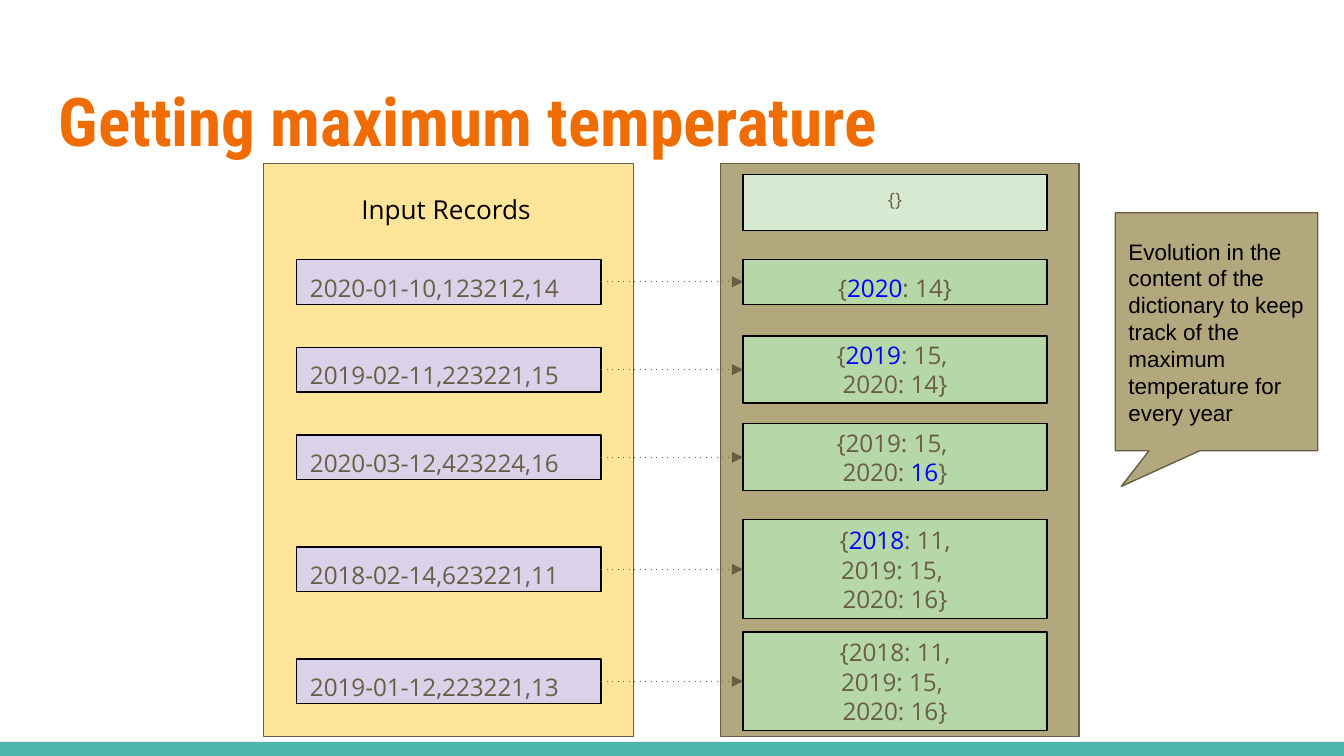
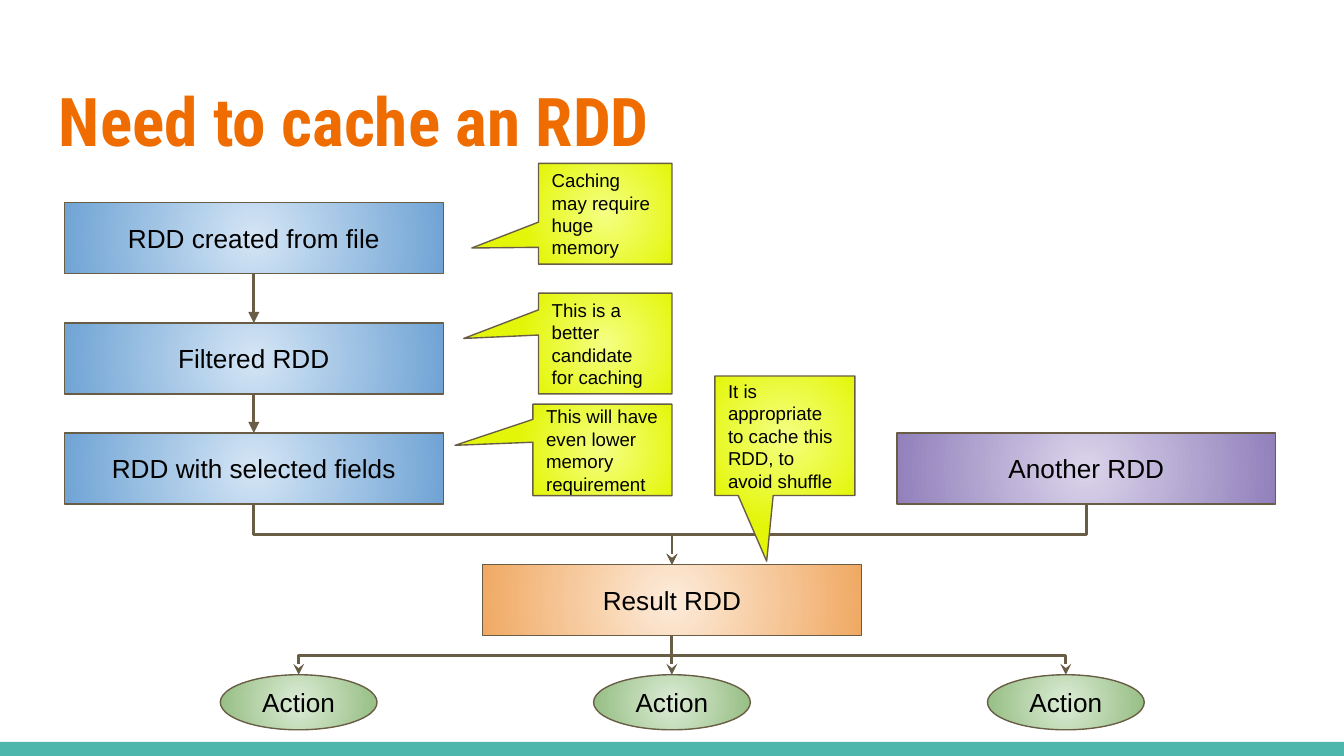
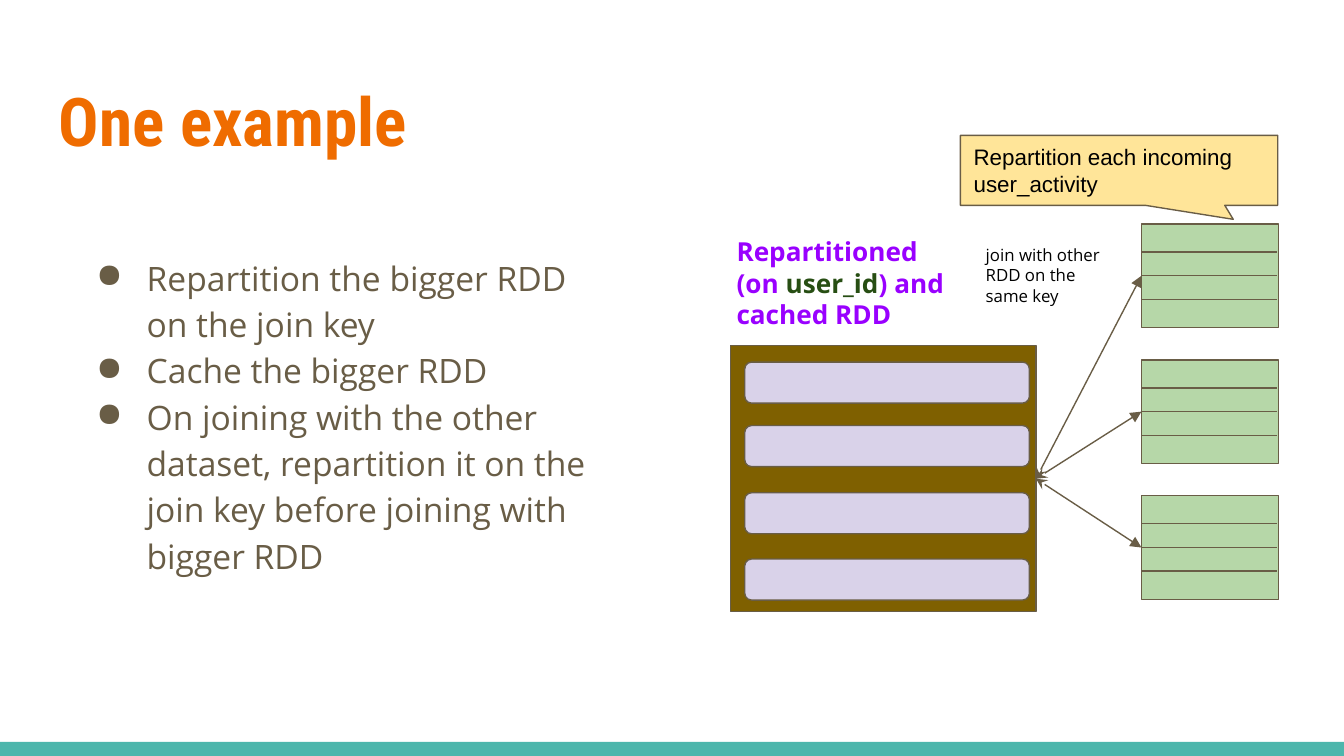
from lxml.etree import SubElement
from pptx import Presentation
from pptx.dml.color import RGBColor
from pptx.enum.shapes import MSO_CONNECTOR as Link, MSO_SHAPE as Preset
from pptx.enum.text import MSO_ANCHOR as Anchor, PP_ALIGN as Align
from pptx.oxml.ns import qn
from pptx.util import Pt

ORANGE, TEAL, BROWN, BLACK = "EF6C00", "4DB6AC", "695D46", "000000"
KHAKI, SAND, LILAC, GREEN, MINT = "B3A77D", "FFE599", "D9D2E9", "B6D7A8", "D9EAD3"
BLUE, VIOLET, FOREST, OLIVE = "0000FF", "9900FF", "274E13", "7F6000"
# Radial gradients: centre colour, edge colour
SKY, PEACH, PLUM = ("D4E5F5", "70A4D5"), ("FDECDB", "F0A963"), ("DBD4EB", "9180BB")
LEAF, LEMON = ("DCECD5", "93BC81"), ("F5FF83", "E3F609")
SANS, BODY, HEADING = "Arial", "Open Sans", "Roboto Condensed"


def rgb(color):
    return RGBColor.from_string(color)


class Deck:
    def __init__(self):
        self.prs = Presentation()
        self.prs.slide_width, self.prs.slide_height = Pt(720), Pt(405)
        self.shapes = None

    def new_slide(self, title):
        self.shapes = self.prs.slides.add_slide(self.prs.slide_layouts[6]).shapes
        self.box((0, 397.5, 720, 7.5), TEAL, line=None)
        self.text((24.5, 35.5, 671, 55), [[title]], 36, HEADING, ORANGE, bold=True)

    def box(self, area, fill, preset=Preset.RECTANGLE, line=BROWN):
        """Draw a preset shape; a pair of colours as fill makes a radial gradient."""
        shape = self.shapes.add_shape(preset, *map(Pt, area))
        shape.shadow.inherit = False
        if isinstance(fill, tuple):
            self.radial(shape, fill)
        else:
            shape.fill.solid()
            shape.fill.fore_color.rgb = rgb(fill)
        if line:
            shape.line.color.rgb = rgb(line)
            shape.line.width = Pt(0.75)
        else:
            shape.line.fill.background()
        return shape

    def radial(self, shape, colors):
        shape.fill.gradient()
        for stop, color in zip(shape.fill.gradient_stops, colors):
            stop.color.rgb = rgb(color)
        gradient = shape._element.spPr.find(qn("a:gradFill"))
        gradient.remove(gradient.find(qn("a:lin")))
        circle = SubElement(gradient, qn("a:path"), path="circle")
        SubElement(circle, qn("a:fillToRect"), {side: "50000" for side in "ltrb"})

    def text(self, area, paragraphs, *style, **options):
        self.put_text(self.shapes.add_textbox(*map(Pt, area)), paragraphs, *style, **options)

    def put_text(self, shape, paragraphs, size, font=SANS, color=BLACK, bold=False,
                 align=Align.LEFT, anchor=Anchor.TOP, bullet=None):
        """Fill a shape with paragraphs, each a list of runs: text or (text, colour)."""
        frame = shape.text_frame
        frame.word_wrap = True
        frame.vertical_anchor = anchor
        frame.margin_left = frame.margin_right = Pt(7.2)
        frame.margin_top = frame.margin_bottom = Pt(7.2)
        for i, runs in enumerate(paragraphs):
            paragraph = frame.add_paragraph() if i else frame.paragraphs[0]
            paragraph.alignment = align
            if bullet:
                self.bullet(paragraph, bullet, color)
            for part in runs:
                words, run_color = part if isinstance(part, tuple) else (part, color)
                run = paragraph.add_run()
                run.text = words
                run.font.size, run.font.name, run.font.bold = Pt(size), font, bold
                run.font.color.rgb = rgb(run_color)

    def bullet(self, paragraph, mark, color):
        paragraph.line_spacing = 1.15
        props = paragraph._p.get_or_add_pPr()
        props.set("marL", str(Pt(36)))
        props.set("indent", str(-Pt(27)))
        SubElement(SubElement(props, qn("a:buClr")), qn("a:srgbClr"), val=color)
        SubElement(props, qn("a:buChar"), char=mark)

    def label(self, area, words, fill, preset=Preset.RECTANGLE):
        self.put_text(self.box(area, fill, preset), [[words]], 14,
                      align=Align.CENTER, anchor=Anchor.MIDDLE)

    def callout(self, area, words, fill, tip, size):
        shape = self.box(area, fill, Preset.RECTANGULAR_CALLOUT)
        shape.adjustments[0], shape.adjustments[1] = tip
        self.put_text(shape, [[words]], size, anchor=Anchor.MIDDLE)

    def line(self, start, end, width=0.75, dash=None, head=None, tail=None, kind=Link.STRAIGHT):
        link = self.shapes.add_connector(kind, *map(Pt, (*start, *end)))
        link.line.color.rgb = rgb(BROWN)
        link.line.width = Pt(width)
        stroke = link.line._get_or_add_ln()
        for tag, attribute, value in (("a:prstDash", "val", dash), ("a:headEnd", "type", head),
                                      ("a:tailEnd", "type", tail)):
            if value:
                SubElement(stroke, qn(tag), {attribute: value})
        SubElement(link._element.spPr, qn("a:effectLst"))
        return link

    def elbow(self, start, end):
        """Draw a down-across-down arrow: a sideways elbow turned a quarter."""
        (x1, y1), (x2, y2) = start, end
        mid_x, mid_y = (x1 + x2) / 2, (y1 + y2) / 2
        half_drop, half_run = (y2 - y1) / 2, abs(x2 - x1) / 2
        leftward = x2 < x1
        side = -half_drop if leftward else half_drop
        link = self.line((mid_x + side, mid_y - half_run), (mid_x - side, mid_y + half_run),
                         1.5, tail="stealth", kind=Link.ELBOW)
        degrees = 90 if leftward else 270
        link._element.spPr.find(qn("a:xfrm")).set("rot", str(degrees * 60000))


def temperature_slide(deck):
    deck.new_slide("Getting maximum temperature")
    deck.box((386, 87.5, 192, 307), KHAKI)
    deck.box((141, 87.5, 198.5, 307), SAND)
    deck.text((157.5, 96.5, 163, 24), [["Input Records"]], 14, BODY, align=Align.CENTER)
    record_x, state_x, width = 159, 398, 163
    empty = deck.box((state_x, 93.5, width, 30), MINT, line=BLACK)
    deck.put_text(empty, [["{}"]], 10, BODY, BROWN, align=Align.CENTER)

    steps = [
        (151, "2020-01-10,123212,14", [["{", ("2020", BLUE), ": 14}"]]),
        (198, "2019-02-11,223221,15", [["{", ("2019", BLUE), ": 15, "], ["2020: 14}"]]),
        (245, "2020-03-12,423224,16", [["{2019: 15, "], ["2020: ", ("16", BLUE), "}"]]),
        (305, "2018-02-14,623221,11",
         [["{", ("2018", BLUE), ": 11,"], ["2019: 15, "], ["2020: 16}"]]),
        (365, "2019-01-12,223221,13", [["{2018: 11,"], ["2019: 15, "], ["2020: 16}"]]),
    ]
    state_heights = {1: 24, 2: 36, 3: 53}
    for middle, record, state in steps:
        record_box = deck.box((record_x, middle - 12, width, 24), LILAC, line=BLACK)
        deck.put_text(record_box, [[record]], 13, BODY, BROWN)
        height = state_heights[len(state)]
        state_box = deck.box((state_x, middle - height / 2, width, height), GREEN, line=BLACK)
        deck.put_text(state_box, state, 13, BODY, BROWN, align=Align.CENTER,
                      anchor=Anchor.TOP if len(state) == 1 else Anchor.MIDDLE)
        deck.line((record_x + width, middle), (state_x, middle), dash="dot", tail="triangle")

    deck.callout((597.5, 114, 108.5, 127.5),
                 "Evolution in the content of the dictionary to keep track of "
                 "the maximum temperature for every year", KHAKI, (-0.47, 0.65), 12)


def cache_slide(deck):
    deck.new_slide("Need to cache an RDD")
    width, height = 203, 38
    rdds = [
        (34.5, 108.5, "RDD created from file", SKY),
        (34.5, 173, "Filtered RDD", SKY),
        (34.5, 232, "RDD with selected fields", SKY),
        (258.5, 302.5, "Result RDD", PEACH),
        (480.5, 232, "Another RDD", PLUM),
    ]
    for x, y, name, fill in rdds:
        deck.label((x, y, width, height), name, fill)
    tops = [(x + width / 2, y) for x, y, *_ in rdds]
    bottoms = [(x, y + height) for x, y in tops]
    created, filtered, selected, result, another = range(5)
    for source, target in ((created, filtered), (filtered, selected)):
        deck.line(bottoms[source], tops[target], 1.5, tail="triangle")
    for source in (selected, another):
        deck.elbow(bottoms[source], tops[result])

    action_y, action_width = 361.5, 84
    for center in (160, 360, 571):
        deck.label((center - action_width / 2, action_y, action_width, 29.5),
                   "Action", LEAF, Preset.OVAL)
        deck.elbow(bottoms[result], (center, action_y))

    for area, words, tip in (
        ((288.5, 87.5, 71.5, 54), "Caching may require huge memory", (-1, 0.34)),
        ((288.5, 157, 71.5, 54), "This is a better candidate for caching", (-1.06, -0.05)),
        ((285.5, 216.5, 74.5, 49), "This will have even lower memory requirement",
         (-1.06, -0.05)),
        ((383, 201.5, 75, 64), "It is appropriate to cache this RDD, to avoid shuffle",
         (-0.13, 1.05)),
    ):
        deck.callout(area, words, LEMON, tip, 10)


def example_slide(deck):
    deck.new_slide("One example")
    deck.text((35.5, 127.5, 298, 194), [
        ["Repartition the bigger RDD on the join key"],
        ["Cache the bigger RDD"],
        ["On joining with the other dataset, repartition it on the join key "
         "before joining with bigger RDD"],
    ], 18, BODY, BROWN, bullet="●")

    deck.box((391.5, 185, 163.5, 142.5), OLIVE)
    for partition_y in (194, 228, 264, 299.5):
        deck.box((399, partition_y, 152.5, 22), LILAC, Preset.ROUNDED_RECTANGLE)
    deck.text((387.5, 119, 163.5, 61),
              [["Repartitioned"], ["(on ", ("user_id", FOREST), ") and cached RDD"]],
              14, BODY, VIOLET, bold=True)
    deck.text((521, 124, 83.5, 55), [["join with other RDD on the same key"]], 9, BODY)

    batch_x, batch_width, batch_height = 611.5, 73.5, 55.5
    for i in range(3):
        batch_y = 120 + 72.8 * i
        deck.box((batch_x, batch_y, batch_width, batch_height), GREEN)
        for offset in (15, 27.7, 40.4):
            deck.line((batch_x, batch_y + offset), (batch_x + 72.5, batch_y + offset))
        deck.line((555, 256.5), (batch_x, batch_y + batch_height / 2),
                  head="stealth", tail="triangle")
    deck.callout((514.5, 72.5, 170, 37.5), "Repartition each incoming user_activity",
                 SAND, (0.36, 0.7), 12)


def main():
    deck = Deck()
    for build in (temperature_slide, cache_slide, example_slide):
        build(deck)
    deck.prs.save("out.pptx")


if __name__ == "__main__":
    main()
